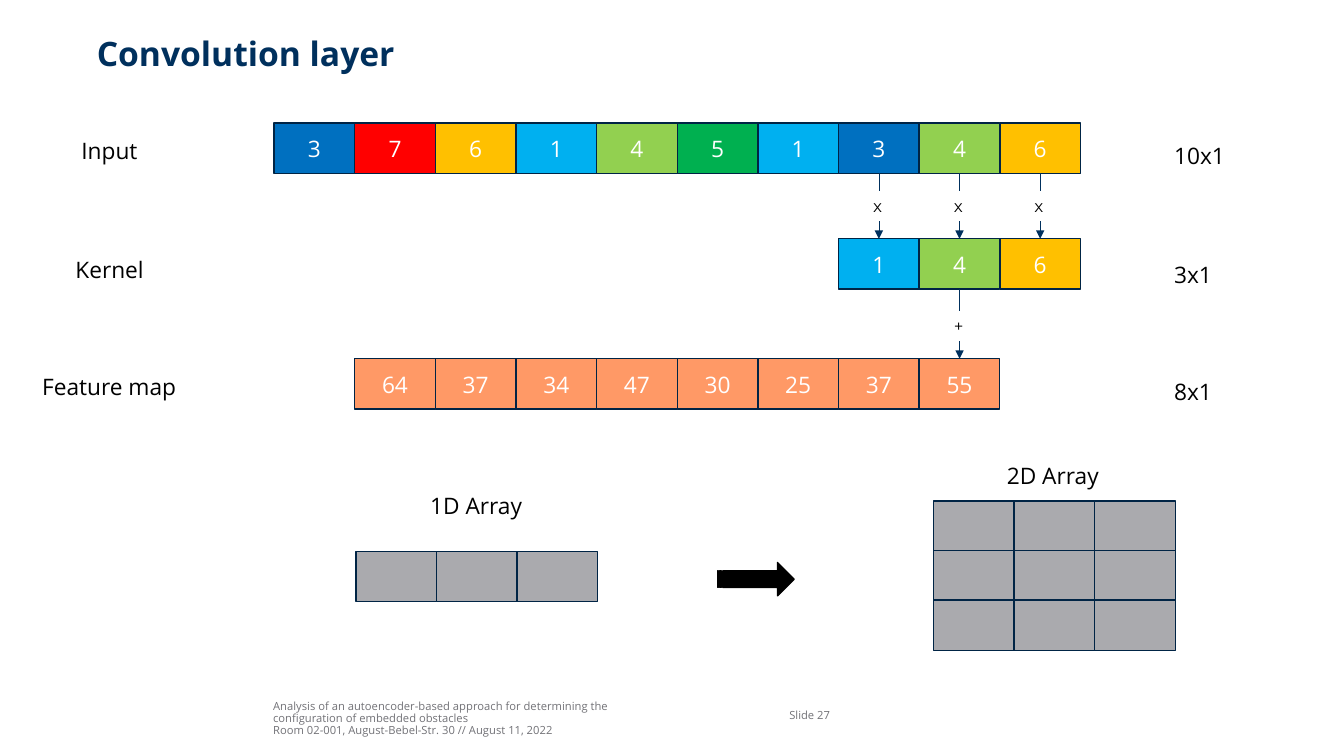
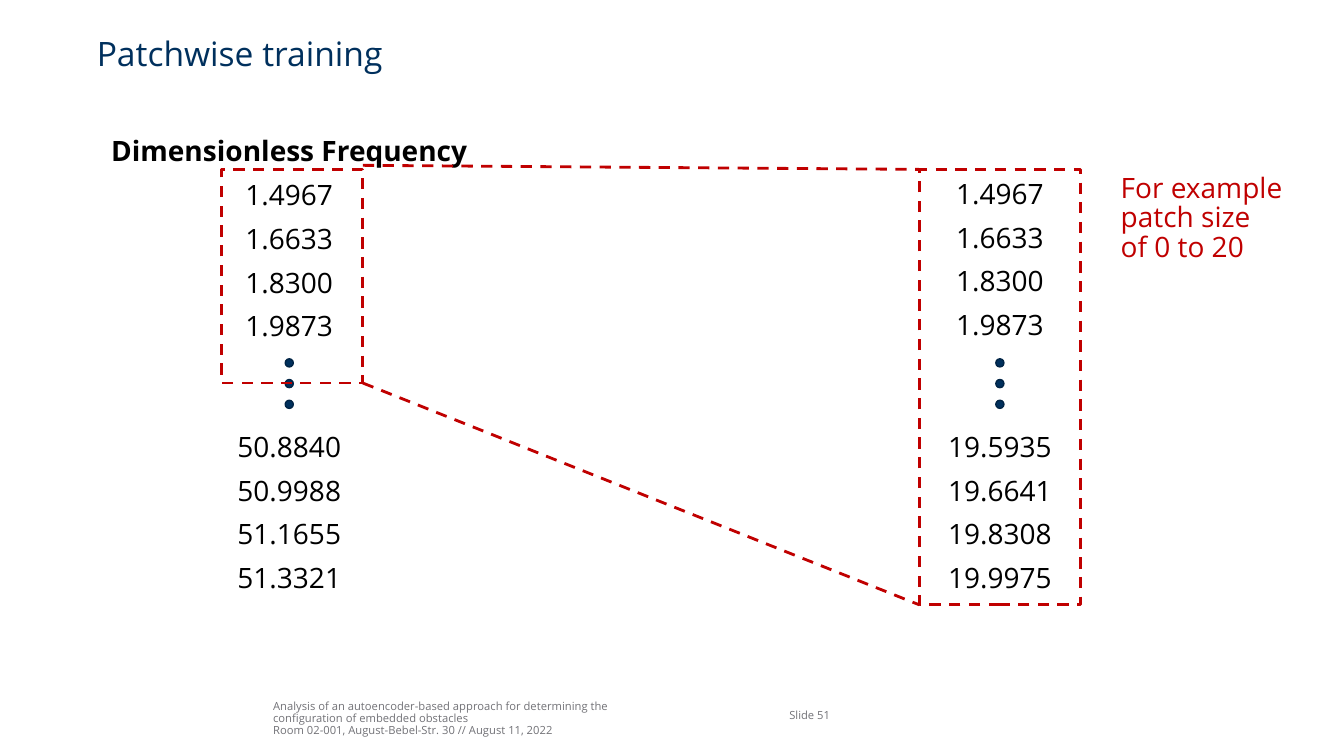
from dataclasses import dataclass
from typing import Any, Optional

from lxml import etree
from pptx import Presentation
from pptx.dml.color import RGBColor
from pptx.enum.dml import MSO_LINE
from pptx.enum.shapes import MSO_CONNECTOR, MSO_SHAPE
from pptx.enum.text import MSO_ANCHOR, MSO_AUTO_SIZE, PP_ALIGN
from pptx.oxml.ns import qn
from pptx.presentation import Presentation as Deck
from pptx.shapes.autoshape import Shape
from pptx.shapes.connector import Connector
from pptx.slide import Slide
from pptx.util import Pt

NAVY = RGBColor(0x00, 0x30, 0x5D)
OUTLINE = RGBColor(0x00, 0x24, 0x45)
BLACK = RGBColor(0x00, 0x00, 0x00)
WHITE = RGBColor(0xFF, 0xFF, 0xFF)
GREY = RGBColor(0xAA, 0xAA, 0xAE)
FOOTER_GREY = RGBColor(0x72, 0x72, 0x77)
CRIMSON = RGBColor(0xC0, 0x00, 0x00)
BLUE = RGBColor(0x00, 0x70, 0xC0)
RED = RGBColor(0xFF, 0x00, 0x00)
AMBER = RGBColor(0xFF, 0xC0, 0x00)
SKY = RGBColor(0x00, 0xB0, 0xF0)
LIME = RGBColor(0x92, 0xD0, 0x50)
GREEN = RGBColor(0x00, 0xB0, 0x50)
ORANGE = RGBColor(0xFF, 0x99, 0x66)

RECTANGLE = MSO_SHAPE.RECTANGLE
OVAL = MSO_SHAPE.OVAL
STRIPED_ARROW = MSO_SHAPE.STRIPED_RIGHT_ARROW
STRAIGHT = MSO_CONNECTOR.STRAIGHT
DASH = MSO_LINE.DASH
LEFT, CENTER = PP_ALIGN.LEFT, PP_ALIGN.CENTER
TOP, MIDDLE, BOTTOM = MSO_ANCHOR.TOP, MSO_ANCHOR.MIDDLE, MSO_ANCHOR.BOTTOM
FIT_SHAPE, NO_FIT = MSO_AUTO_SIZE.SHAPE_TO_FIT_TEXT, MSO_AUTO_SIZE.NONE

TITLE_ONLY = 5
SIDE_TOP, SIDE_BOTTOM = 0, 2
LINE_SPACING = 0.88
NO_MARGINS = {f"margin_{side}": 0 for side in ("left", "top", "right", "bottom")}

LABEL = {"name": "Open Sans", "size": Pt(16.2)}
VALUE = {"name": "Open Sans", "size": Pt(20), "bold": False}
HEADING = {**VALUE, "bold": True}
OPERATOR = {"name": "Montserrat", "size": Pt(12)}
FOOTER = {"name": "Open Sans", "size": Pt(8)}

CELL_WIDTH, CELL_HEIGHT = 57.6, 36
INPUT_LEFT = 195.8
GRID_PITCH = 35.4
OPERATOR_WIDTH, OPERATOR_HEIGHT = 22.3, 21.8
COLUMN_WIDTH, ROW_HEIGHT = 275, 29.5
DOT_SIZE, DOT_PITCH = 5.8, 14.8
FOOTER_LINES = (
    "Analysis of an autoencoder-based approach for determining the",
    "configuration of embedded obstacles",
    "Room 02-001, August-Bebel-Str. 30 // August 11, 2022",
)


@dataclass(frozen=True)
class Box:
    left: float
    top: float
    width: float
    height: float

    def lengths(self) -> tuple:
        return Pt(self.left), Pt(self.top), Pt(self.width), Pt(self.height)


@dataclass(frozen=True)
class CellRow:
    first_column: int
    top: float
    values: tuple
    fills: tuple


@dataclass(frozen=True)
class Label:
    text: str
    box: Box


@dataclass(frozen=True)
class ValueColumn:
    left: float
    top: float
    values: tuple
    heading: Optional[str] = None


INPUT_ROW = CellRow(
    0, 87.8, (3, 7, 6, 1, 4, 5, 1, 3, 4, 6),
    (BLUE, RED, AMBER, SKY, LIME, GREEN, SKY, BLUE, LIME, AMBER),
)
KERNEL_ROW = CellRow(7, 170.6, (1, 4, 6), (SKY, LIME, AMBER))
FEATURE_ROW = CellRow(1, 256.3, (64, 37, 34, 47, 30, 25, 37, 55), (ORANGE,) * 8)

LAYER_LABELS = (
    Label("Input", Box(51.1, 96.5, 54.7, 26.6)),
    Label("Kernel", Box(46.8, 181.4, 64, 26.6)),
    Label("Feature map", Box(23, 265, 111.6, 26.6)),
    Label("10x1", Box(831.6, 100.1, 51.1, 26.6)),
    Label("3x1", Box(831.6, 185, 41.8, 26.6)),
    Label("8x1", Box(831.6, 268.6, 41.8, 26.6)),
    Label("1D Array", Box(300.2, 350.6, 80.6, 26.6)),
    Label("2D Array", Box(712.1, 329, 80.6, 26.6)),
)

FREQUENCY_LEFT, PATCH_LEFT = 69.1, 576.7
FREQUENCY_COLUMNS = (
    ValueColumn(FREQUENCY_LEFT, 90.7, ("1.4967", "1.6633", "1.8300", "1.9873"),
                "Dimensionless Frequency"),
    ValueColumn(FREQUENCY_LEFT, 301.7, ("50.8840", "50.9988", "51.1655", "51.3321")),
    ValueColumn(PATCH_LEFT, 121, ("1.4967", "1.6633", "1.8300", "1.9873")),
    ValueColumn(PATCH_LEFT, 301.7, ("19.5935", "19.6641", "19.8308", "19.9975")),
)
SOURCE_FRAME = Box(158.4, 121, 100.8, 152.6)
PATCH_FRAME = Box(656.6, 121, 115.2, 311)


def apply_format(target: Any, values: dict) -> None:
    for name, value in values.items():
        setattr(target, name, value)


def write_lines(shape: Shape, lines: tuple, font: dict, color: RGBColor,
                frame: dict, paragraph_format: dict) -> None:
    apply_format(shape.text_frame, frame)
    shape.text_frame.text = "\n".join(lines)
    for paragraph in shape.text_frame.paragraphs:
        apply_format(paragraph, paragraph_format)
        apply_format(paragraph.font, font)
        paragraph.font.color.rgb = color


def add_text(slide: Slide, box: Box, lines: tuple, font: dict, color: RGBColor,
             **frame: Any) -> None:
    textbox = slide.shapes.add_textbox(*box.lengths())
    options = {"word_wrap": False, "auto_size": FIT_SHAPE, **frame}
    write_lines(textbox, lines, font, color, options, {"line_spacing": LINE_SPACING})


def add_block(slide: Slide, preset: Any, box: Box, fill: Optional[RGBColor],
              outline: Optional[RGBColor], width: float = 1) -> Shape:
    block = slide.shapes.add_shape(preset, *box.lengths())
    block.shadow.inherit = False
    if fill is None:
        block.fill.background()
    else:
        block.fill.solid()
        block.fill.fore_color.rgb = fill
    if outline is None:
        block.line.fill.background()
    else:
        block.line.color.rgb = outline
        block.line.width = Pt(width)
    return block


def add_line(slide: Slide, start: tuple, end: tuple, color: RGBColor,
             width: float) -> Connector:
    line = slide.shapes.add_connector(STRAIGHT, *(Pt(v) for v in start + end))
    line.line.color.rgb = color
    line.line.width = Pt(width)
    etree.SubElement(line._element.spPr, qn("a:effectLst"))
    return line


def join(slide: Slide, upper: Shape, lower: Shape, arrow: bool) -> None:
    center = upper.left.pt + upper.width.pt / 2
    start = (center, upper.top.pt + upper.height.pt)
    line = add_line(slide, start, (center, lower.top.pt), NAVY, 0.5)
    line.begin_connect(upper, SIDE_BOTTOM)
    line.end_connect(lower, SIDE_TOP)
    if arrow:
        etree.SubElement(line.line._get_or_add_ln(), qn("a:tailEnd"), type="triangle")


def add_operator(slide: Slide, symbol: str, top: float, upper: Shape, lower: Shape) -> None:
    left = upper.left.pt + (CELL_WIDTH - OPERATOR_WIDTH) / 2
    box = Box(left, top, OPERATOR_WIDTH, OPERATOR_HEIGHT)
    operator = add_block(slide, RECTANGLE, box, WHITE, None)
    frame = {"word_wrap": False, "auto_size": FIT_SHAPE, "vertical_anchor": TOP}
    write_lines(operator, (symbol,), OPERATOR, BLACK, frame, {"alignment": LEFT})
    join(slide, upper, operator, arrow=False)
    join(slide, operator, lower, arrow=True)


def add_cell_row(slide: Slide, row: CellRow) -> list:
    cells = []
    for column, (value, fill) in enumerate(zip(row.values, row.fills), row.first_column):
        box = Box(INPUT_LEFT + column * CELL_WIDTH, row.top, CELL_WIDTH, CELL_HEIGHT)
        cell = add_block(slide, RECTANGLE, box, fill, OUTLINE)
        write_lines(cell, (str(value),), LABEL, WHITE,
                    {"vertical_anchor": MIDDLE}, {"alignment": CENTER})
        cells.append(cell)
    return cells


def add_array(slide: Slide, left: float, top: float, rows: int, columns: int) -> None:
    for row in range(rows):
        for column in range(columns):
            box = Box(left + column * CELL_WIDTH, top + row * GRID_PITCH,
                      CELL_WIDTH, CELL_HEIGHT)
            add_block(slide, RECTANGLE, box, GREY, OUTLINE)


def add_value_column(slide: Slide, column: ValueColumn) -> None:
    heading = (column.heading,) if column.heading else ()
    entries = heading + column.values
    box = Box(column.left, column.top, COLUMN_WIDTH, ROW_HEIGHT * len(entries))
    table = slide.shapes.add_table(len(entries), 1, *box.lengths()).table
    table.horz_banding = False
    for index, entry in enumerate(entries):
        cell = table.cell(index, 0)
        cell.fill.solid()
        cell.fill.fore_color.rgb = WHITE
        cell.text = entry
        paragraph = cell.text_frame.paragraphs[0]
        paragraph.alignment = CENTER
        apply_format(paragraph.font, HEADING if entry == column.heading else VALUE)
        paragraph.font.color.rgb = BLACK


def add_ellipsis(slide: Slide, column_left: float) -> None:
    left = column_left + (COLUMN_WIDTH - DOT_SIZE) / 2
    for index in range(3):
        box = Box(left, 256.3 + index * DOT_PITCH, DOT_SIZE, DOT_SIZE)
        add_block(slide, OVAL, box, NAVY, OUTLINE)


def start_slide(deck: Deck, title: str, number: int, bold: bool) -> Slide:
    slide = deck.slides.add_slide(deck.slide_layouts[TITLE_ONLY])
    heading = slide.shapes.title
    place = zip(("left", "top", "width", "height"), Box(69.1, 27.4, 833, 54).lengths())
    apply_format(heading, dict(place))
    write_lines(heading, (title,), {"name": "Open Sans", "size": Pt(24), "bold": bold}, NAVY,
                {**NO_MARGINS, "vertical_anchor": TOP, "auto_size": NO_FIT},
                {"alignment": LEFT, "line_spacing": LINE_SPACING})
    add_text(slide, Box(195.1, 497.5, 352.8, 28.8), FOOTER_LINES, FOOTER, FOOTER_GREY,
             **NO_MARGINS, word_wrap=True, vertical_anchor=BOTTOM)
    add_text(slide, Box(563.8, 496.8, 55.4, 28.8), (f"Slide {number}",), FOOTER, FOOTER_GREY,
             **NO_MARGINS, word_wrap=True, vertical_anchor=MIDDLE, auto_size=NO_FIT)
    return slide


def build_convolution(deck: Deck) -> None:
    slide = start_slide(deck, "Convolution layer", 27, bold=True)
    inputs, kernel, features = (
        add_cell_row(slide, row) for row in (INPUT_ROW, KERNEL_ROW, FEATURE_ROW)
    )
    for input_cell, kernel_cell in zip(inputs[KERNEL_ROW.first_column:], kernel):
        add_operator(slide, "x", 136.3, input_cell, kernel_cell)
    add_operator(slide, "+", 222, kernel[1], features[-1])
    add_array(slide, 254.2, 393.8, rows=1, columns=3)
    add_array(slide, 666.7, 357.8, rows=3, columns=3)
    add_block(slide, STRIPED_ARROW, Box(512.6, 401.8, 54.7, 23.8), BLACK, BLACK)
    for label in LAYER_LABELS:
        add_text(slide, label.box, (label.text,), LABEL, BLACK)


def build_patchwise(deck: Deck) -> None:
    slide = start_slide(deck, "Patchwise training", 51, bold=False)
    for column in FREQUENCY_COLUMNS:
        add_value_column(slide, column)
    for left in (FREQUENCY_LEFT, PATCH_LEFT):
        add_ellipsis(slide, left)
    outlines = [add_block(slide, RECTANGLE, frame, None, CRIMSON, 2)
                for frame in (SOURCE_FRAME, PATCH_FRAME)]
    source_right = SOURCE_FRAME.left + SOURCE_FRAME.width
    source_bottom = SOURCE_FRAME.top + SOURCE_FRAME.height
    patch_bottom = PATCH_FRAME.top + PATCH_FRAME.height
    for start_y, end_y in ((source_bottom, patch_bottom), (118.1, PATCH_FRAME.top)):
        outlines.append(add_line(slide, (source_right, start_y),
                                 (PATCH_FRAME.left, end_y), CRIMSON, 2))
    for outline in outlines:
        outline.line.dash_style = DASH
    add_text(slide, Box(793.4, 121, 131, 79.9),
             ("For example", "patch size", "of 0 to 20"), VALUE, CRIMSON)


def main() -> None:
    deck = Presentation()
    apply_format(deck, {"slide_width": Pt(960), "slide_height": Pt(540)})
    build_convolution(deck)
    build_patchwise(deck)
    deck.save("out.pptx")


if __name__ == "__main__":
    main()
